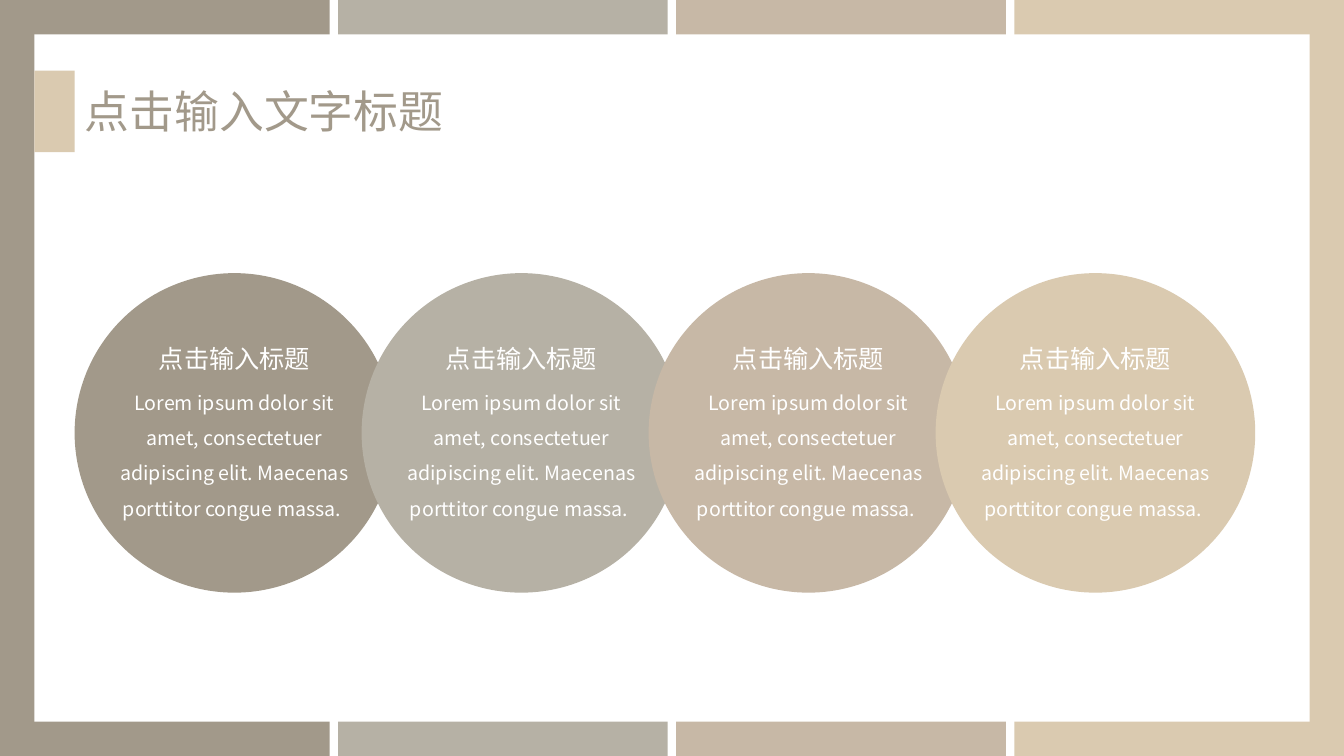
from dataclasses import dataclass

from pptx import Presentation
from pptx.dml.color import RGBColor
from pptx.enum.shapes import MSO_SHAPE as Preset
from pptx.enum.text import MSO_ANCHOR as Anchor, MSO_AUTO_SIZE as AutoSize, PP_ALIGN as Align
from pptx.oxml.ns import qn
from pptx.util import Inches, Pt

FONT = "Noto Sans CJK SC"
WHITE = "FFFFFF"
PALETTE = ["A2998A", "B6B1A5", "C7B8A6", "DACAB0"]
SLIDE_WIDTH, SLIDE_HEIGHT = 13.33, 7.5
COLUMN_WIDTH = 3.27
COLUMN_PITCH = (SLIDE_WIDTH - COLUMN_WIDTH) / 3
CIRCLE_LEFT, CIRCLE_PITCH = 0.74, 8.54 / 3
TITLE = "点击输入文字标题"
HEADING = "点击输入标题"
BODY = "Lorem ipsum dolor sit amet, consectetuer adipiscing elit. Maecenas porttitor congue massa. "


@dataclass
class Box:
    left: float
    top: float
    width: float
    height: float

    def lengths(self) -> list:
        return [Inches(n) for n in (self.left, self.top, self.width, self.height)]


@dataclass
class TextStyle:
    size: int
    color: str
    align: Align = Align.CENTER
    line_spacing: float = 1.0


TITLE_STYLE = TextStyle(32, PALETTE[0], Align.LEFT)
HEADING_STYLE = TextStyle(18, WHITE)
BODY_STYLE = TextStyle(14, WHITE, line_spacing=1.5)


def rgb(color: str) -> RGBColor:
    return RGBColor.from_string(color)


def add_filled(shapes, preset: Preset, box: Box, color: str) -> None:
    filled = shapes.add_shape(preset, *box.lengths())
    filled.shadow.inherit = False
    filled.fill.solid()
    filled.fill.fore_color.rgb = rgb(color)
    filled.line.fill.background()


def write_text(holder, text: str, style: TextStyle) -> None:
    frame = holder.text_frame
    frame_format = {
        "word_wrap": True,
        "auto_size": AutoSize.SHAPE_TO_FIT_TEXT,
        "vertical_anchor": Anchor.TOP,
    }
    for name, value in frame_format.items():
        setattr(frame, name, value)
    paragraph = frame.paragraphs[0]
    paragraph.alignment = style.align
    paragraph.line_spacing = style.line_spacing
    run = paragraph.add_run()
    run.text = text
    for name, value in {"name": FONT, "size": Pt(style.size), "bold": False}.items():
        setattr(run.font, name, value)
    run.font.color.rgb = rgb(style.color)
    east_asian = run.font._element.makeelement(qn("a:ea"), {"typeface": FONT})
    run.font._element.find(qn("a:latin")).addnext(east_asian)


def place_title(slide) -> None:
    title = slide.shapes.title
    slide.shapes._spTree.append(title._element)
    lengths = Box(0.74, 0.78, 4.59, 0.64).lengths()
    for name, value in zip(("left", "top", "width", "height"), lengths):
        setattr(title, name, value)
    write_text(title, TITLE, TITLE_STYLE)


def add_circle(slide, left: float, color: str) -> None:
    shapes = slide.shapes.add_group_shape().shapes
    add_filled(shapes, Preset.OVAL, Box(left, 2.71, 3.17, 3.17), color)
    heading_box = Box(left + 0.59, 3.36, 1.99, 0.4)
    write_text(shapes.add_textbox(*heading_box.lengths()), HEADING, HEADING_STYLE)
    body_box = Box(left + 0.31, 3.71, 2.55, 1.47)
    write_text(shapes.add_textbox(*body_box.lengths()), BODY, BODY_STYLE)


def main() -> None:
    deck = Presentation()
    deck.slide_width, deck.slide_height = Inches(SLIDE_WIDTH), Inches(SLIDE_HEIGHT)
    slide = deck.slides.add_slide(deck.slide_layouts.get_by_name("Title Only"))
    for index, color in enumerate(PALETTE):
        column = Box(index * COLUMN_PITCH, 0, COLUMN_WIDTH, SLIDE_HEIGHT)
        add_filled(slide.shapes, Preset.RECTANGLE, column, color)
    add_filled(slide.shapes, Preset.RECTANGLE, Box(0.34, 0.34, 12.65, 6.82), WHITE)
    add_filled(slide.shapes, Preset.RECTANGLE, Box(0.34, 0.7, 0.4, 0.81), PALETTE[3])
    place_title(slide)
    for index, color in enumerate(PALETTE):
        add_circle(slide, CIRCLE_LEFT + index * CIRCLE_PITCH, color)
    deck.save("out.pptx")


if __name__ == "__main__":
    main()
